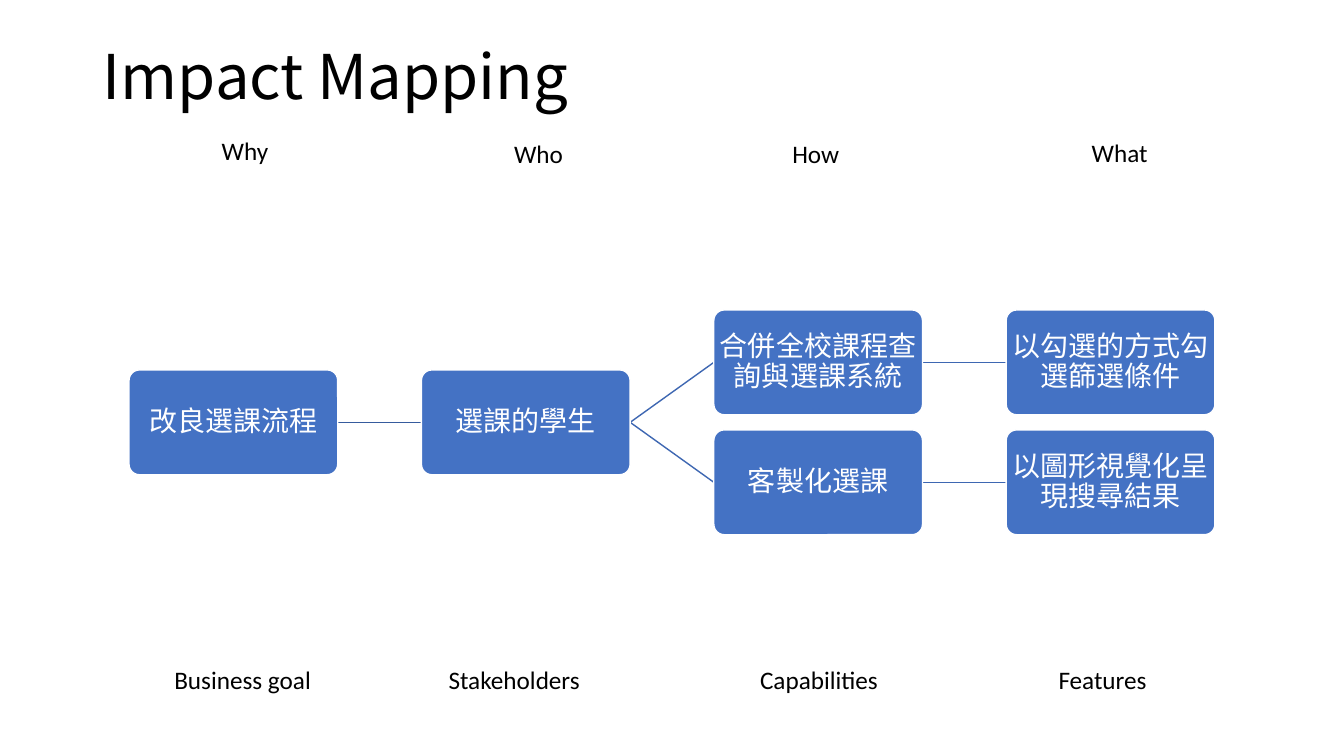
"""Build the impact mapping slide: goal, stakeholder, capabilities and features."""
from typing import NamedTuple

from lxml.etree import SubElement
from pptx import Presentation
from pptx.dml.color import RGBColor
from pptx.enum.shapes import MSO_CONNECTOR, MSO_SHAPE
from pptx.enum.text import MSO_ANCHOR, PP_ALIGN
from pptx.oxml.ns import qn
from pptx.util import Inches, Pt

BLACK = RGBColor(0x00, 0x00, 0x00)
WHITE = RGBColor(0xFF, 0xFF, 0xFF)
NODE_BLUE = RGBColor(0x44, 0x72, 0xC4)
FIRST_LINK_BLUE = RGBColor(0x36, 0x5B, 0x9D)
LINK_BLUE = RGBColor(0x3E, 0x67, 0xB2)

BODY_FONT = "Calibri"
TITLE_FONT = "Noto Sans CJK SC"

GRID_LEFT, COLUMN_STEP = 1.28, 2.9
GRID_MIDDLE, ROW_STEP = 4.19, 1.19
NODE_WIDTH, NODE_HEIGHT = 2.07, 1.04
LABEL_HEIGHT, FOOTER_TOP = 0.4, 6.54


class Node(NamedTuple):
    text: str
    column: int
    row: float

    @property
    def left(self) -> float:
        return GRID_LEFT + self.column * COLUMN_STEP

    @property
    def middle(self) -> float:
        return GRID_MIDDLE + self.row * ROW_STEP


class Link(NamedTuple):
    start: Node
    end: Node
    color: RGBColor = LINK_BLUE


class Label(NamedTuple):
    text: str
    left: float
    top: float
    width: float


GOAL = Node("改良選課流程", 0, 0)
STUDENTS = Node("選課的學生", 1, 0)
MERGED_SYSTEM = Node("合併全校課程查詢與選課系統", 2, -0.5)
CUSTOM_SELECTION = Node("客製化選課", 2, 0.5)
FILTERS = Node("以勾選的方式勾選篩選條件", 3, -0.5)
VISUAL_RESULTS = Node("以圖形視覺化呈現搜尋結果", 3, 0.5)

NODES = [GOAL, STUDENTS, MERGED_SYSTEM, FILTERS, CUSTOM_SELECTION, VISUAL_RESULTS]
LINKS = [
    Link(GOAL, STUDENTS, FIRST_LINK_BLUE),
    Link(STUDENTS, MERGED_SYSTEM),
    Link(MERGED_SYSTEM, FILTERS),
    Link(STUDENTS, CUSTOM_SELECTION),
    Link(CUSTOM_SELECTION, VISUAL_RESULTS),
]
LABELS = [
    Label("Why", 2.1, 1.29, 0.67),
    Label("Who", 5, 1.32, 0.69),
    Label("How", 7.76, 1.32, 0.67),
    Label("What", 10.73, 1.31, 0.76),
    Label("Business goal", 1.63, FOOTER_TOP, 1.61),
    Label("Stakeholders", 4.35, FOOTER_TOP, 1.52),
    Label("Capabilities", 7.44, FOOTER_TOP, 1.39),
    Label("Features", 10.4, FOOTER_TOP, 1.08),
]


def write_text(shape, text: str, *, size: float, color: RGBColor = BLACK,
               font: str = BODY_FONT, align: PP_ALIGN = PP_ALIGN.LEFT,
               anchor: MSO_ANCHOR = MSO_ANCHOR.TOP, wrap: bool = True,
               spacing: float = 1.0, inset: float | None = None) -> None:
    frame = shape.text_frame
    frame.word_wrap = wrap
    frame.vertical_anchor = anchor
    if inset is not None:
        frame.margin_left = frame.margin_right = Inches(inset)
        frame.margin_top = frame.margin_bottom = Inches(inset)
    para = frame.paragraphs[0]
    para.alignment = align
    para.line_spacing = spacing
    span = para.add_run()
    span.text = text
    span.font.size = Pt(size)
    span.font.name = font
    span.font.color.rgb = color


def add_text_box(page, label: Label, height: float, **text_format) -> None:
    box = page.shapes.add_textbox(Inches(label.left), Inches(label.top),
                                  Inches(label.width), Inches(height))
    write_text(box, label.text, **text_format)


def draw_link(page, link: Link) -> None:
    connector = page.shapes.add_connector(
        MSO_CONNECTOR.STRAIGHT,
        Inches(link.start.left + NODE_WIDTH), Inches(link.start.middle),
        Inches(link.end.left), Inches(link.end.middle))
    connector.line.color.rgb = link.color
    connector.line.width = Pt(1)
    SubElement(connector._element.spPr, qn("a:effectLst"))


def draw_node(page, node: Node) -> None:
    box = page.shapes.add_shape(
        MSO_SHAPE.ROUNDED_RECTANGLE,
        Inches(node.left), Inches(node.middle - NODE_HEIGHT / 2),
        Inches(NODE_WIDTH), Inches(NODE_HEIGHT))
    box.adjustments[0] = 0.1
    box.shadow.inherit = False
    box.fill.solid()
    box.fill.fore_color.rgb = NODE_BLUE
    box.line.color.rgb = WHITE
    box.line.width = Pt(1)
    write_text(box, node.text, size=20, color=WHITE, align=PP_ALIGN.CENTER,
               anchor=MSO_ANCHOR.MIDDLE, spacing=0.9, inset=0.01)


def main() -> None:
    deck = Presentation()
    deck.slide_width, deck.slide_height = Inches(13.33), Inches(7.5)
    page = deck.slides.add_slide(deck.slide_layouts[6])
    add_text_box(page, Label("Impact Mapping", 0.92, 0.4, 11.5), 0.78, size=44,
                 font=TITLE_FONT, anchor=MSO_ANCHOR.MIDDLE, spacing=0.9)
    for link in LINKS:
        draw_link(page, link)
    for node in NODES:
        draw_node(page, node)
    for label in LABELS:
        add_text_box(page, label, LABEL_HEIGHT, size=18, wrap=False)
    deck.save("out.pptx")


main()
